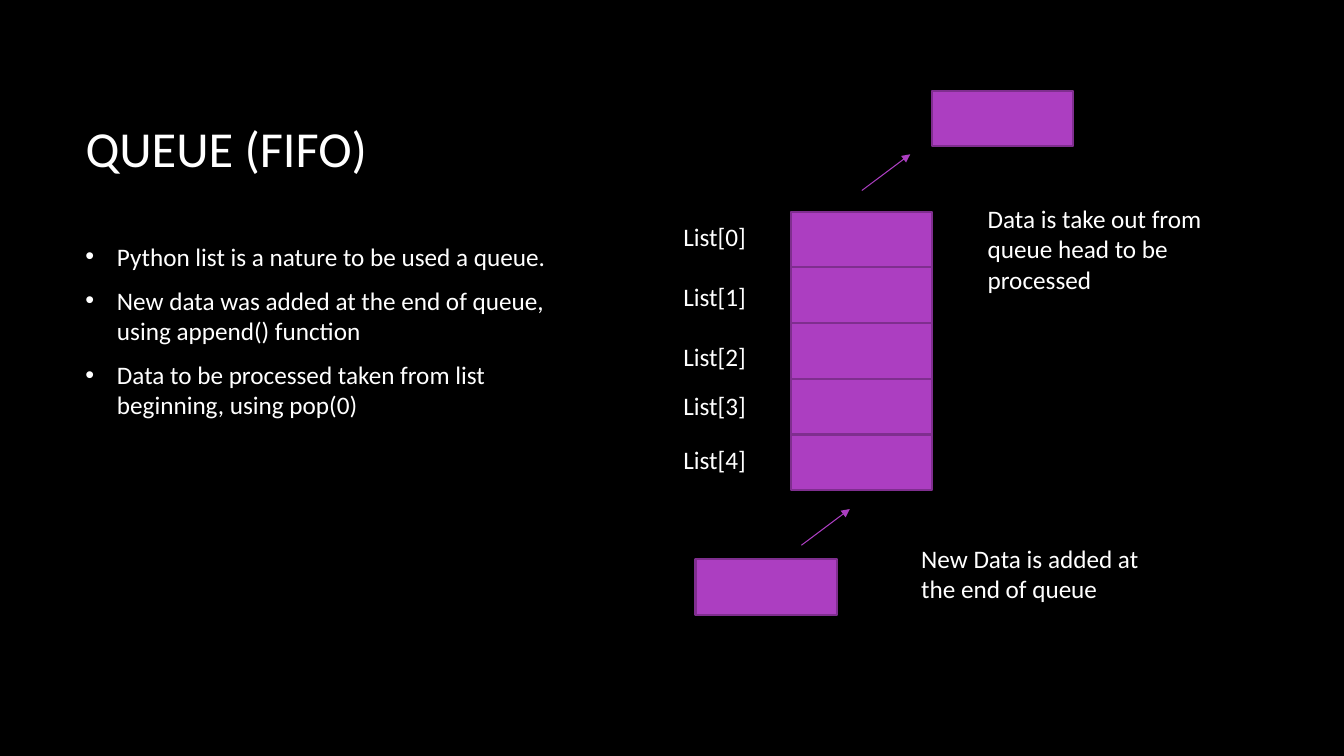
from lxml import etree
from pptx import Presentation
from pptx import util as u
from pptx.dml.color import RGBColor
from pptx.enum import shapes, text
from pptx.oxml.ns import qn

Pt = u.Pt
COLORS = {"back": "000000", "text": "FFFFFF", "cell": "AC3EC1", "edge": "7F2E8F"}
FONT = "Calibri"

TITLE = "QUEUE (FIFO)"
POINTS = [
    "Python list is a nature to be used a queue.",
    "New data was added at the end of queue, using append() function",
    "Data to be processed taken from list beginning, using pop(0)",
]
LABEL_TOPS = [154.8, 197.3, 240.5, 275, 313.9]
NOTES = [
    ("Data is take out from queue head to be processed", (698.4, 141.8, 200.9, 69.1)),
    ("New Data is added at the end of queue", (650.9, 384.5, 179.3, 61.9)),
]
CELL_WIDTH, CELL_HEIGHT = 100.8, 39.8
QUEUE_LEFT, QUEUE_TOP = 565.2, 151.2
INCOMING, OUTGOING = (496.8, 399.4), (666, 64.8)
ARROW_STARTS = [(572.4, 389.5), (615.6, 136.1)]
ARROW_RUN, ARROW_RISE = 34.6, 25.9


def color(name):
    return RGBColor.from_string(COLORS[name])


def add_text(page, paragraphs, area, size=18, anchor=text.MSO_ANCHOR.TOP, after=10, bullets=False):
    box = page.shapes.add_textbox(*map(Pt, area))
    frame = box.text_frame
    frame.word_wrap = True
    frame.vertical_anchor = anchor
    for index, words in enumerate(paragraphs):
        para = frame.add_paragraph() if index else frame.paragraphs[0]
        para.space_after = Pt(after)
        if bullets:
            props = para._p.get_or_add_pPr()
            props.set("marL", str(Pt(22.5)))
            props.set("indent", str(Pt(-22.5)))
            tint = etree.SubElement(props, qn("a:buClr"))
            etree.SubElement(tint, qn("a:srgbClr"), val=COLORS["text"])
            etree.SubElement(props, qn("a:buFont"), typeface="Arial")
            etree.SubElement(props, qn("a:buChar"), char="•")
        span = para.add_run()
        span.text = words
        span.font.name = FONT
        span.font.size = Pt(size)
        span.font.color.rgb = color("text")


def add_cell(page, left, top):
    cell = page.shapes.add_shape(
        shapes.MSO_SHAPE.RECTANGLE, Pt(left), Pt(top), Pt(CELL_WIDTH), Pt(CELL_HEIGHT))
    cell.shadow.inherit = False
    cell.fill.solid()
    cell.fill.fore_color.rgb = color("cell")
    cell.line.color.rgb = color("edge")
    cell.line.width = Pt(1.5)


def add_arrow(page, left, bottom):
    arrow = page.shapes.add_connector(
        shapes.MSO_CONNECTOR.STRAIGHT, Pt(left), Pt(bottom),
        Pt(left + ARROW_RUN), Pt(bottom - ARROW_RISE))
    arrow.line.color.rgb = color("cell")
    arrow.line.width = Pt(0.75)
    etree.SubElement(arrow.line._get_or_add_ln(), qn("a:tailEnd"), type="triangle")
    etree.SubElement(arrow._element.spPr, qn("a:effectLst"))


def main():
    deck = Presentation()
    deck.slide_width, deck.slide_height = Pt(960), Pt(540)
    page = deck.slides.add_slide(deck.slide_layouts[6])
    page.background.fill.solid()
    page.background.fill.fore_color.rgb = color("back")

    add_text(page, [TITLE], (54, 48.2, 797.8, 114.5), 36, text.MSO_ANCHOR.MIDDLE, after=0)
    add_text(page, POINTS, (54, 168.5, 378.7, 264.2), bullets=True)

    queue = [(QUEUE_LEFT, QUEUE_TOP + CELL_HEIGHT * row) for row in range(len(LABEL_TOPS))]
    for left, top in queue + [INCOMING, OUTGOING]:
        add_cell(page, left, top)
    for left, bottom in ARROW_STARTS:
        add_arrow(page, left, bottom)
    for words, area in NOTES:
        add_text(page, [words], area)
    for index, top in enumerate(LABEL_TOPS):
        add_text(page, [f"List[{index}]"], (481, top, 74.9, 28.1))

    deck.save("out.pptx")


if __name__ == "__main__":
    main()
